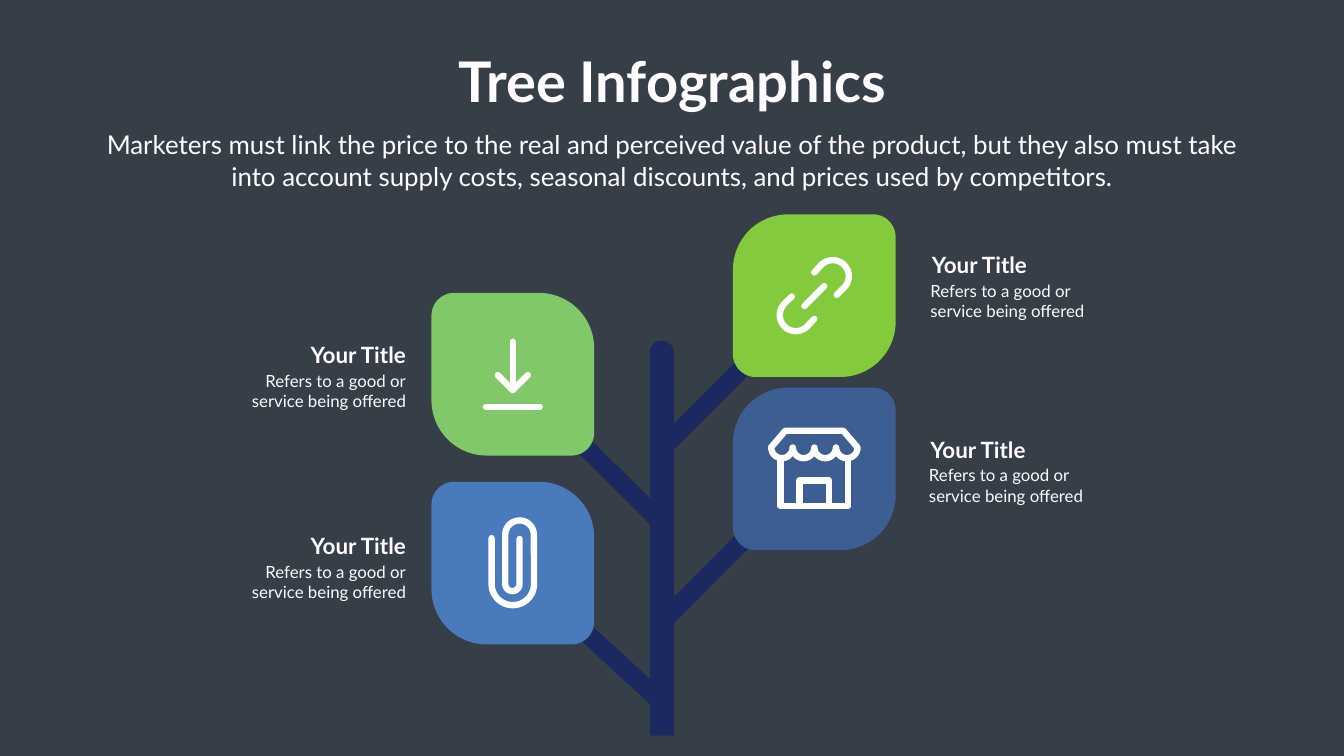
"""Builds a tree infographic slide with four labelled leaves."""
import math

from lxml import etree
from pptx import Presentation
from pptx import util as u
from pptx.dml import color
from pptx.enum import shapes, text
from pptx.oxml import ns

COLORS = {"ground": "363E48", "wood": "1B2960", "text": "FEFCFF", "icon": "FFFFFF",
          "lime": "83CA3C", "navy": "3C5E92", "green": "81C868", "blue": "497ABB"}
FONTS = {"title": {"name": "Lato", "size": u.Pt(80), "bold": True},
         "intro": {"name": "Lato", "size": u.Pt(37), "bold": False},
         "label": {"name": "Lato", "size": u.Pt(32), "bold": True},
         "body": {"name": "Lato", "size": u.Pt(24), "bold": False}}
INTRO = ("Marketers must link the price to the real and perceived value of the product, "
         "but they also must take into account supply costs, seasonal discounts, "
         "and prices used by competitors.")
LABEL = "Your Title"
BODY = ["Refers to a good or", "service being offered"]
LEAF = 8.2
WIDE_CORNER, TIGHT_CORNER = 0.34, 0.14
BODY_W, LABEL_W = 8.36, 6
BRANCHES = [(33.39, 22.58, 37.54, 18.42), (33.39, 31.32, 37.54, 27.15),
            (33.3, 26.31, 29.13, 22.17), (33.3, 35.36, 29.13, 31.52)]


def rgb(name):
    """Returns the named colour."""
    return color.RGBColor.from_string(COLORS[name])


def arc(cx, cy, radius, start, end, steps=24):
    """Returns points along a circular arc, with angles in degrees."""
    angles = [math.radians(start + (end - start) * i / steps) for i in range(steps + 1)]
    return [(cx + radius * math.cos(a), cy + radius * math.sin(a)) for a in angles]


def download_icon():
    """Returns the strokes of an arrow over a base line."""
    return [[(0, -1.64), (0, 0.8)], [(-0.76, 0.04), (0, 0.8), (0.76, 0.04)],
            [(-1.36, 1.64), (1.36, 1.64)]]


def link_icon():
    """Returns the strokes of two chain links and the bar between them."""
    lower = [(-1.13, 0.04), *arc(-0.93, 0.98, 0.81, 225, 45), (0, 1.17)]
    upper = [(-x, -y) for x, y in lower]
    return [lower, upper, [(-0.5, 0.53), (0.5, -0.48)]]


def store_icon():
    """Returns the strokes of a shop with a scalloped awning."""
    awning = [(-2.18, -1.08), (-1.46, -1.92), (1.46, -1.92), (2.18, -1.08)]
    for i in range(4):
        awning += arc(1.64 - 1.09 * i, -1.08, 0.54, 0, 180)
    walls = [(-1.71, -0.5), (-1.71, 1.87), (1.71, 1.87), (1.71, -0.5)]
    door = [(-0.74, 1.87), (-0.74, 0.58), (0.74, 0.58), (0.74, 1.87)]
    return [awning, walls, door]


def clip_icon():
    """Returns the single stroke of a paper clip."""
    return [[(-1.07, -1.26), *arc(0, 1.05, 1.07, 180, 0), *arc(0.34, -1.43, 0.72, 0, -180),
             *arc(-0.02, 1.05, 0.36, 180, 0), (0.34, -1.22)]]


def style_line(sp, name, width):
    """Gives a line its colour, width and round ends and joins."""
    sp.line.color.rgb = rgb(name)
    sp.line.width = width
    ln = sp.get_or_add_ln()
    ln.set("cap", "rnd")
    etree.SubElement(ln, ns.qn("a:round"))


def add_solid(slide, kind, box, fill, adjustments):
    """Adds a filled preset shape without outline."""
    sp = slide.shapes.add_shape(kind, *map(u.Cm, box))
    sp.shadow.inherit = False
    sp.fill.solid()
    sp.fill.fore_color.rgb = rgb(fill)
    sp.line.fill.background()
    for i, value in enumerate(adjustments):
        sp.adjustments[i] = value


def add_branch(slide, ends):
    """Adds a thick round-ended branch."""
    sp = slide.shapes.add_connector(shapes.MSO_CONNECTOR.STRAIGHT, *map(u.Cm, ends))
    style_line(sp, "wood", u.Cm(0.93))
    etree.SubElement(sp.element.spPr, ns.qn("a:effectLst"))


def add_icon(slide, cx, cy, strokes):
    """Draws icon strokes around a centre."""
    for stroke in strokes:
        points = [(u.Cm(cx + x), u.Cm(cy + y)) for x, y in stroke]
        builder = slide.shapes.build_freeform(*points[0])
        builder.add_line_segments(points[1:], close=False)
        sp = builder.convert_to_shape()
        sp.shadow.inherit = False
        sp.fill.background()
        style_line(sp, "icon", u.Cm(0.32))


def add_text(slide, box, lines, font, align, wrap=True):
    """Adds a text box with one paragraph per line."""
    tf = slide.shapes.add_textbox(*map(u.Cm, box)).text_frame
    tf.word_wrap = wrap
    for i, line in enumerate(lines):
        p = tf.add_paragraph() if i else tf.paragraphs[0]
        p.alignment = align
        r = p.add_run()
        r.text = line
        for key, value in FONTS[font].items():
            setattr(r.font, key, value)
        r.font.color.rgb = rgb("text")


def add_leaf(slide, on_right, top, fill, strokes, text_x, text_y):
    """Adds a leaf with its icon, label and body text."""
    left = 36.93 if on_right else 21.74
    corners = (WIDE_CORNER, TIGHT_CORNER) if on_right else (TIGHT_CORNER, WIDE_CORNER)
    align = text.PP_ALIGN.LEFT if on_right else text.PP_ALIGN.RIGHT
    label_x = text_x + (0.07 if on_right else BODY_W - LABEL_W)
    add_solid(slide, shapes.MSO_SHAPE.ROUND_2_DIAG_RECTANGLE, (left, top, LEAF, LEAF),
              fill, corners)
    add_icon(slide, left + LEAF / 2, top + LEAF / 2, strokes)
    add_text(slide, (label_x, text_y, LABEL_W, 1.62), [LABEL], "label", align)
    add_text(slide, (text_x, text_y + 1.48, BODY_W, 2.26), BODY, "body", align)


def main():
    """Builds and saves the slide."""
    prs = Presentation()
    prs.slide_width, prs.slide_height = u.Cm(67.72), u.Cm(38.1)
    slide = prs.slides.add_slide(prs.slide_layouts[6])
    slide.background.fill.solid()
    slide.background.fill.fore_color.rgb = rgb("ground")

    add_solid(slide, shapes.MSO_SHAPE.ROUND_2_SAME_RECTANGLE, (32.74, 17.17, 1.22, 19.91),
              "wood", (0.5, 0))
    for ends in BRANCHES:
        add_branch(slide, ends)
    for leaf in [(True, 10.8, "lime", link_icon(), 46.63, 12.55),
                 (True, 19.53, "navy", store_icon(), 46.56, 21.84),
                 (False, 14.76, "green", download_icon(), 12.34, 17.07),
                 (False, 24.28, "blue", clip_icon(), 12.34, 26.7)]:
        add_leaf(slide, *leaf)

    center = text.PP_ALIGN.CENTER
    add_text(slide, (22.58, 2.24, 22.58, 3.68), ["Tree Infographics"], "title", center, False)
    add_text(slide, (4.67, 6.38, 58.37, 3.43), [INTRO], "intro", center)
    prs.save("out.pptx")


if __name__ == "__main__":
    main()
